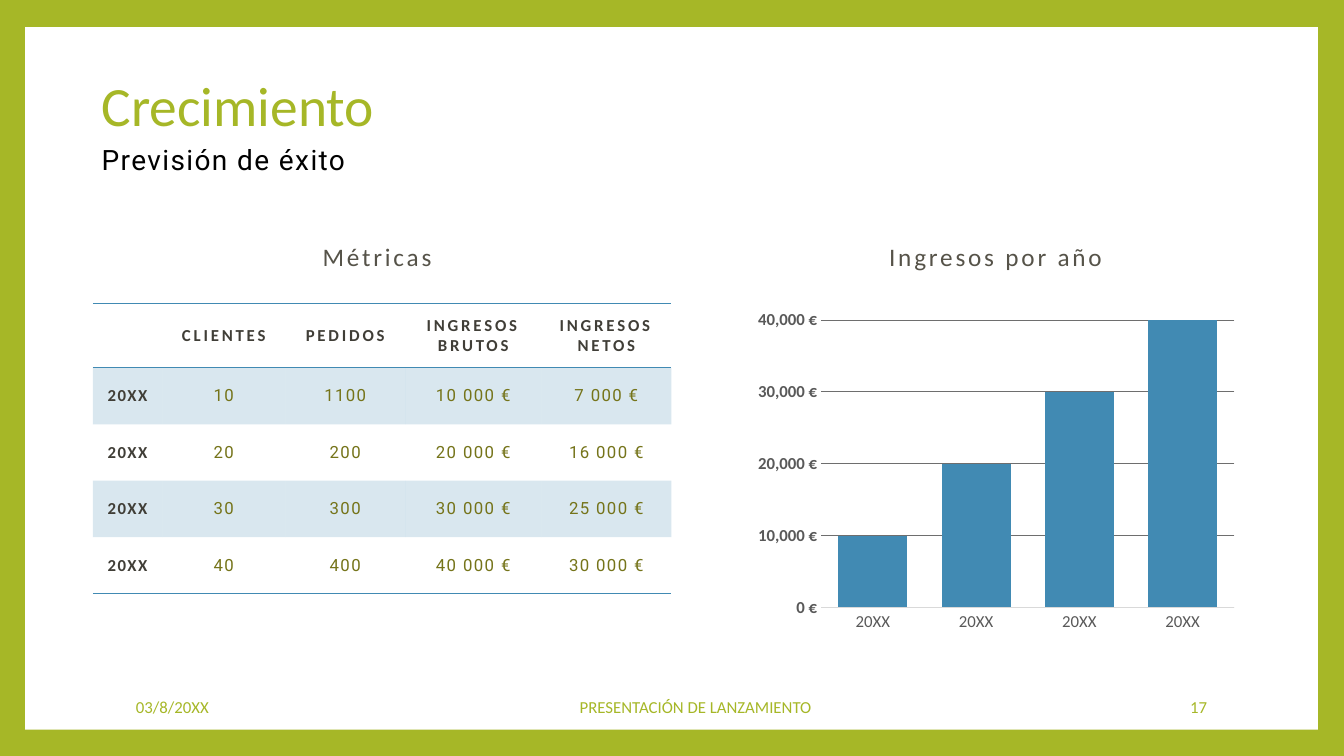
from lxml import etree
from pptx import Presentation
from pptx.chart.data import CategoryChartData
from pptx.dml.color import RGBColor
from pptx.enum.chart import XL_CHART_TYPE, XL_TICK_MARK
from pptx.enum.shapes import MSO_SHAPE
from pptx.enum.text import MSO_ANCHOR, PP_ALIGN
from pptx.oxml.ns import qn
from pptx.util import Inches, Pt

COLUMN = XL_CHART_TYPE.COLUMN_CLUSTERED
NO_TICK = XL_TICK_MARK.NONE
RECTANGLE = MSO_SHAPE.RECTANGLE
TOP, MIDDLE = MSO_ANCHOR.TOP, MSO_ANCHOR.MIDDLE
LEFT, CENTER, RIGHT = PP_ALIGN.LEFT, PP_ALIGN.CENTER, PP_ALIGN.RIGHT

GREEN = RGBColor(0xA6, 0xB7, 0x27)
WHITE = RGBColor(0xFF, 0xFF, 0xFF)
BLACK = RGBColor(0, 0, 0)
BLUE = RGBColor(0x41, 0x8A, 0xB3)
HEADING = RGBColor(0x56, 0x53, 0x49)
LABEL = RGBColor(0x40, 0x3E, 0x37)
OLIVE = RGBColor(0x75, 0x74, 0x1A)
AXIS_TEXT = RGBColor(0x59, 0x59, 0x59)
AXIS_LINE = RGBColor(0xD9, 0xD9, 0xD9)
GRID = RGBColor(0x6E, 0x6E, 0x6E)

PLAIN_TABLE = "{2D5ABB26-0587-4C30-8999-92F81FD0307C}"
COLUMN_WIDTHS = [0.69, 1.22, 1.19, 1.35, 1.29]
ROW_HEIGHTS = [0.64] + [0.56] * 4
METRICS = [
    ["", "CLIENTES", "PEDIDOS", "INGRESOS BRUTOS", "INGRESOS NETOS"],
    ["20XX", "10", "1100", "10 000 €", "7 000 €"],
    ["20XX", "20", "200", "20 000 €", "16 000 €"],
    ["20XX", "30", "300", "30 000 €", "25 000 €"],
    ["20XX", "40", "400", "40 000 €", "30 000 €"],
]
REVENUE = [10000, 20000, 30000, 40000]


def write(paragraph, text, size, color, font="Calibri", bold=False, spacing=0, align=LEFT):
    paragraph.alignment = align
    run = paragraph.add_run()
    run.text = text
    run.font.size = Pt(size)
    run.font.name = font
    run.font.bold = bold
    run.font.color.rgb = color
    if spacing:
        run.font._element.set("spc", str(spacing * 100))


def add_text(slide, box, text, size, color, anchor=TOP, line_spacing=1.0, **style):
    frame = slide.shapes.add_textbox(*map(Inches, box)).text_frame
    frame.word_wrap = True
    frame.vertical_anchor = anchor
    paragraph = frame.paragraphs[0]
    paragraph.line_spacing = line_spacing
    write(paragraph, text, size, color, **style)


def add_panel(slide):
    panel = slide.shapes.add_shape(RECTANGLE, *map(Inches, (0.25, 0.27, 12.82, 6.97)))
    panel.shadow.inherit = False
    panel.fill.solid()
    panel.fill.fore_color.rgb = WHITE
    panel.line.fill.background()


def add_border(cell, side):
    line = etree.SubElement(cell._tc.get_or_add_tcPr(), qn(f"a:{side}"), w=str(Pt(1)))
    fill = etree.SubElement(line, qn("a:solidFill"))
    etree.SubElement(fill, qn("a:srgbClr"), val=str(BLUE))


def fill_cell(cell, shaded):
    if not shaded:
        cell.fill.background()
        return
    cell.fill.solid()
    cell.fill.fore_color.rgb = BLUE
    color = cell._tc.tcPr.find(f"{qn('a:solidFill')}/{qn('a:srgbClr')}")
    etree.SubElement(color, qn("a:alpha"), val="20000")


def format_cell(cell, text, row, column):
    is_label = row == 0 or column == 0
    cell.vertical_anchor = MIDDLE
    if is_label:
        cell.margin_left = cell.margin_right = Inches(0.09)
        cell.margin_top = cell.margin_bottom = Inches(0.04)
    if row == 0:
        add_border(cell, "lnT")
    if row in (0, len(METRICS) - 1):
        add_border(cell, "lnB")
    fill_cell(cell, row % 2 == 1)
    if text:
        write(cell.text_frame.paragraphs[0], text, 12,
              LABEL if is_label else OLIVE,
              font="Calibri" if is_label else "Roboto",
              bold=is_label, spacing=2 if row == 0 else 1, align=CENTER)


def add_metrics_table(slide):
    table = slide.shapes.add_table(
        len(METRICS), len(COLUMN_WIDTHS), Inches(0.92), Inches(3.01),
        Inches(sum(COLUMN_WIDTHS)), Inches(sum(ROW_HEIGHTS))).table
    table._tbl.tblPr.find(qn("a:tableStyleId")).text = PLAIN_TABLE
    table.horz_banding = False
    for column, width in zip(table.columns, COLUMN_WIDTHS):
        column.width = Inches(width)
    for row, height in zip(table.rows, ROW_HEIGHTS):
        row.height = Inches(height)
    for row, texts in enumerate(METRICS):
        for column, text in enumerate(texts):
            format_cell(table.cell(row, column), text, row, column)


def style_axis(axis, bold):
    axis.major_tick_mark = axis.minor_tick_mark = NO_TICK
    font = axis.tick_labels.font
    font.name = "Calibri"
    font.size = Pt(12)
    font.bold = bold
    font.color.rgb = AXIS_TEXT


def style_line(line, color):
    line.color.rgb = color
    line.width = Pt(0.75)


def add_revenue_chart(slide):
    data = CategoryChartData()
    data.categories = ["20XX"] * len(REVENUE)
    data.add_series("Series 1", REVENUE)
    chart = slide.shapes.add_chart(
        COLUMN, *map(Inches, (7.42, 3.01, 4.92, 3.32)), data).chart
    chart.has_legend = False
    chart.has_title = False
    chart.font.name = "Calibri"
    chart.font.size = Pt(10)
    chart.font.color.rgb = BLACK

    years, euros = chart.category_axis, chart.value_axis
    style_axis(years, False)
    style_line(years.format.line, AXIS_LINE)
    style_axis(euros, True)
    euros.format.line.fill.background()
    euros.minimum_scale = 0
    euros.maximum_scale = 40000
    euros.major_unit = 10000
    euros.tick_labels.number_format = '#,##0\\ "€"'
    euros.tick_labels.number_format_is_linked = False
    style_line(euros.major_gridlines.format.line, GRID)

    plot = chart.plots[0]
    plot.gap_width = 50
    plot.overlap = -27
    plot.vary_by_categories = False
    bars = plot.series[0].format.fill
    bars.solid()
    bars.fore_color.rgb = BLUE


def main():
    deck = Presentation()
    deck.slide_width, deck.slide_height = Inches(13.33), Inches(7.5)
    slide = deck.slides.add_slide(deck.slide_layouts[6])
    slide.background.fill.solid()
    slide.background.fill.fore_color.rgb = GREEN
    add_panel(slide)

    add_text(slide, (0.91, 0.73, 6.38, 0.7), "Crecimiento", 39.6, GREEN,
             anchor=MIDDLE, line_spacing=0.9)
    add_text(slide, (0.91, 1.28, 6.38, 0.59), "Previsión de éxito", 20, BLACK,
             line_spacing=1.25, font="Roboto", spacing=1)
    for left, width, heading in ((1, 5.48, "Métricas"), (7.42, 4.91, "Ingresos por año")):
        add_text(slide, (left, 2.38, width, 0.49), heading, 18, HEADING,
                 line_spacing=0.9, spacing=2, align=CENTER)

    add_metrics_table(slide)
    add_revenue_chart(slide)

    for left, width, text, align in (
            (1.25, 2.55, "03/8/20XX", LEFT),
            (4.32, 5.16, "PRESENTACIÓN DE LANZAMIENTO", CENTER),
            (10.2, 1.87, "17", RIGHT)):
        add_text(slide, (left, 6.81, width, 0.4), text, 12, GREEN,
                 anchor=MIDDLE, align=align)
    deck.save("out.pptx")


if __name__ == "__main__":
    main()
